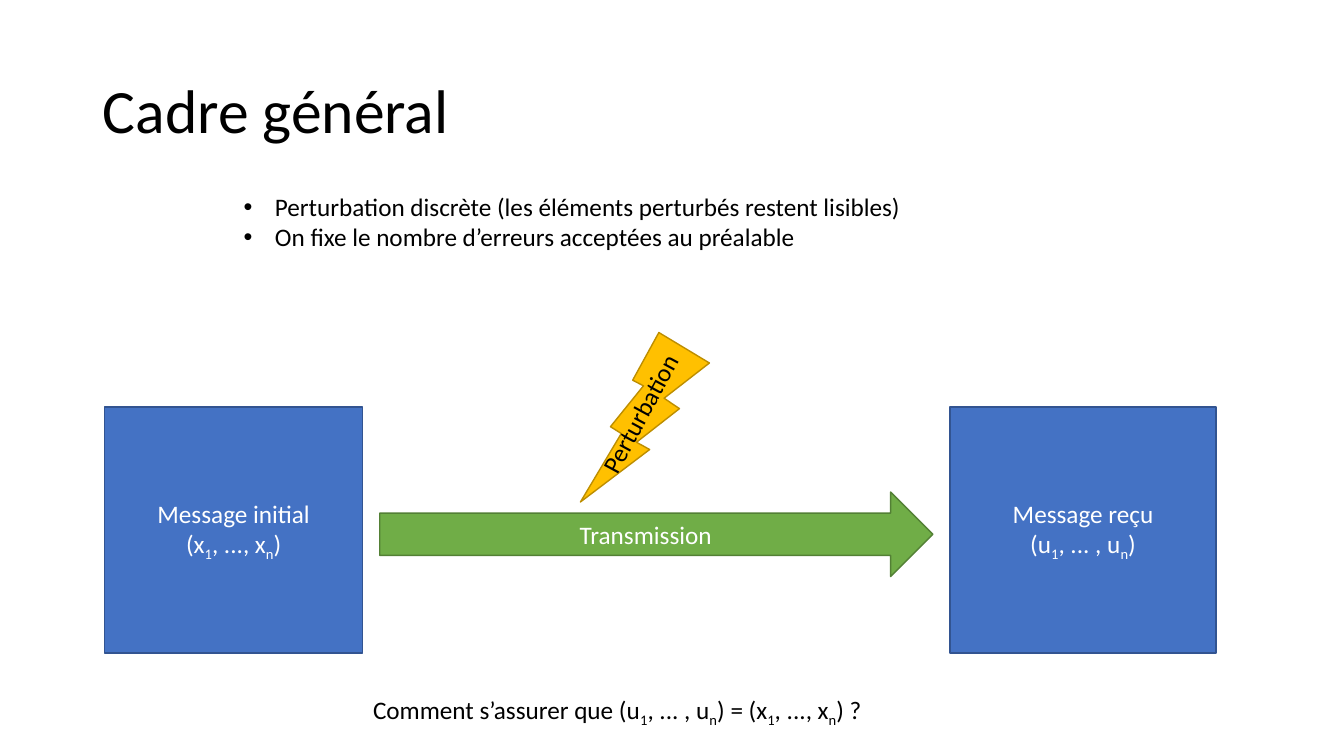
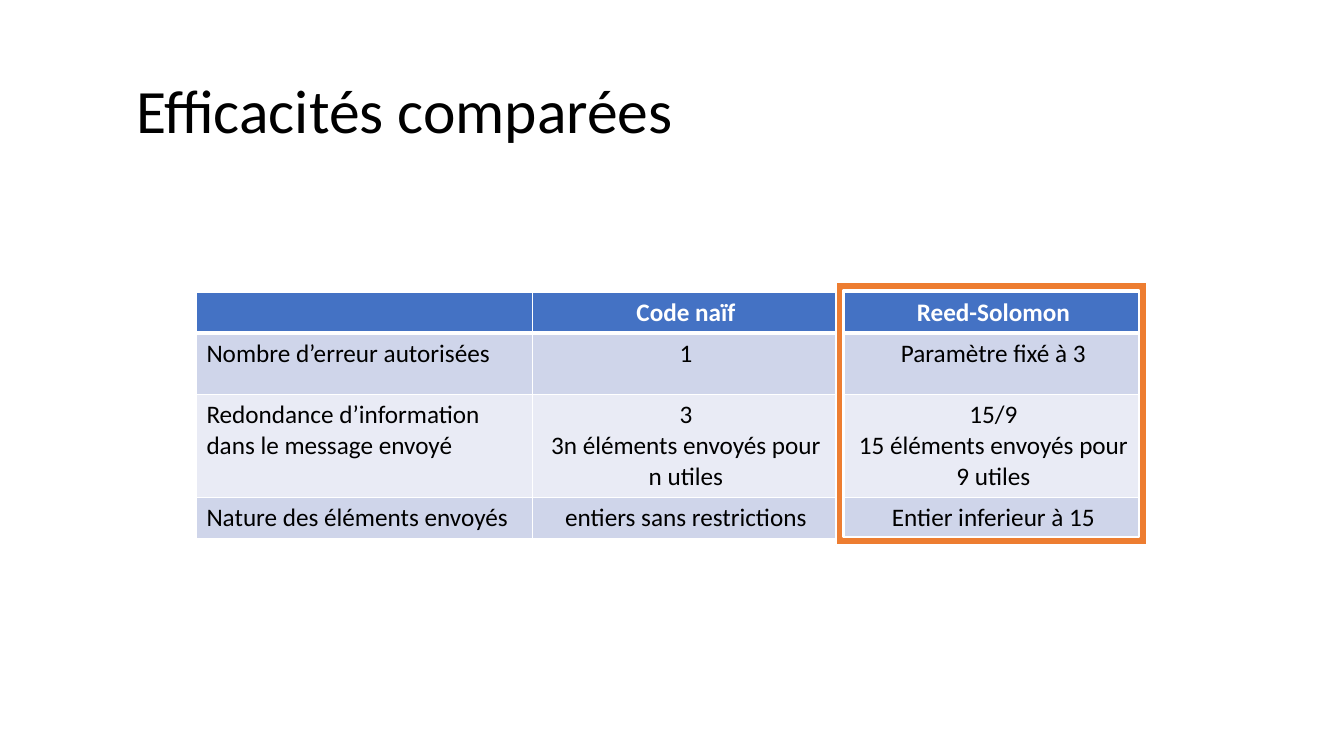
from lxml import etree
from pptx import Presentation
from pptx.dml.color import RGBColor
from pptx.enum import shapes, text
from pptx.oxml.ns import qn
from pptx.util import Cm, Pt

# Shared look
FONT = "Calibri"
BLACK, WHITE = "000000", "FFFFFF"
BLUE, GREEN, GOLD, ORANGE = "4472C4", "70AD47", "FFC000", "ED7D31"
BANDS = ["CFD5EA", "E9EBF5"]
LEFT, CENTER = text.PP_ALIGN.LEFT, text.PP_ALIGN.CENTER
TOP, MIDDLE = text.MSO_ANCHOR.TOP, text.MSO_ANCHOR.MIDDLE
SHAPE = shapes.MSO_SHAPE

# Content: "_" puts the next character in subscript
HYPOTHESES = ["Perturbation discrète (les éléments perturbés restent lisibles)",
              "On fixe le nombre d’erreurs acceptées au préalable"]
QUESTION = "Comment s’assurer que (u_1, ... , u_n) = (x_1, ..., x_n) ?"
# preset, width, top, height, fill, outline, lines
CHAIN = [
    (SHAPE.RECTANGLE, 6.5, 10.26, 6.2, BLUE, "325491",
     ["Message initial", "(x_1, ..., x_n)"]),
    (SHAPE.RIGHT_ARROW, 13.94, 12.4, 2.13, GREEN, "538035", ["Transmission"]),
    (SHAPE.RECTANGLE, 6.71, 10.26, 6.2, BLUE, "325491",
     ["Message reçu", "(u_1, ... , u_n)"]),
]
CHAIN_LEFT, CHAIN_GAP = 2.64, 0.43

COMPARISON = [
    ["", "Code naïf", "Reed-Solomon"],
    ["Nombre d’erreur autorisées", "1", "Paramètre fixé à 3"],
    ["Redondance d’information dans le message envoyé",
     "3\n3n éléments envoyés pour n utiles",
     "15/9\n15 éléments envoyés pour 9 utiles"],
    ["Nature des éléments envoyés", "entiers sans restrictions",
     "Entier inferieur à 15"],
]
COLUMN_WIDTHS = [8.46, 7.75, 7.75]
ROW_HEIGHTS = [1.02, 1.55, 2.6, 1.02]


def rgb(value):
    return RGBColor.from_string(value)


def write(frame, lines, color=BLACK, size=18, align=LEFT, anchor=TOP,
          bold=False, bullets=False, spacing=None):
    frame.word_wrap = True
    frame.vertical_anchor = anchor
    for i, line in enumerate(lines):
        par = frame.paragraphs[0] if i == 0 else frame.add_paragraph()
        par.alignment = align
        if spacing:
            par.line_spacing = spacing
        if bullets:
            props = par._p.get_or_add_pPr()
            props.set("marL", str(Cm(0.79)))
            props.set("indent", str(-Cm(0.79)))
            etree.SubElement(props, qn("a:buFont"), typeface="Arial")
            etree.SubElement(props, qn("a:buChar"), char="•")
        first, *rest = line.split("_")
        pieces = [(first, False)]
        for part in rest:
            pieces += [(part[0], True), (part[1:], False)]
        for piece, lowered in pieces:
            if not piece:
                continue
            run = par.add_run()
            run.text = piece
            for key, value in {"name": FONT, "size": Pt(size), "bold": bold}.items():
                setattr(run.font, key, value)
            run.font.color.rgb = rgb(color)
            if lowered:
                run.font._element.set("baseline", "-25000")


def add_text(slide, box, lines, **style):
    label = slide.shapes.add_textbox(*map(Cm, box))
    write(label.text_frame, lines, **style)
    return label


def add_figure(slide, preset, box, fill, outline, width=1):
    figure = slide.shapes.add_shape(preset, *map(Cm, box))
    figure.shadow.inherit = False
    figure.fill.solid()
    figure.fill.fore_color.rgb = rgb(fill)
    figure.line.color.rgb = rgb(outline)
    figure.line.width = Pt(width)
    return figure


def add_titled_slide(deck, title, left):
    slide = deck.slides.add_slide(deck.slide_layouts[6])
    add_text(slide, (left, 1.02, 29.21, 3.68), [title], size=44,
             anchor=MIDDLE, spacing=0.9)
    return slide


def set_borders(cell, bottom):
    props = cell._tc.get_or_add_tcPr()
    for side, width in {"L": 1, "R": 1, "T": 1, "B": bottom}.items():
        edge = etree.SubElement(props, qn("a:ln" + side), w=str(Pt(width)))
        paint = etree.SubElement(edge, qn("a:solidFill"))
        etree.SubElement(paint, qn("a:srgbClr"), val=WHITE)


def build_framework(deck):
    slide = add_titled_slide(deck, "Cadre général", 2.34)

    # Message, transmission, message
    left = CHAIN_LEFT
    for preset, width, top, height, fill, outline, lines in CHAIN:
        step = add_figure(slide, preset, (left, top, width, height), fill, outline)
        write(step.text_frame, lines, color=WHITE, align=CENTER, anchor=MIDDLE)
        left += width + CHAIN_GAP

    # Perturbation
    bolt = add_figure(slide, SHAPE.LIGHTNING_BOLT, (14.63, 8.38, 3.25, 4.27),
                      GOLD, "BD8E00")
    bolt._element.spPr.xfrm.set("flipH", "1")
    bolt_label = add_text(slide, (14.1, 9.68, 4.29, 1.02), ["Perturbation"])
    bolt_label.rotation = 298.5

    # Hypotheses and question
    add_text(slide, (5.89, 4.7, 20.35, 4.11), HYPOTHESES, bullets=True)
    add_text(slide, (5.38, 17.37, 20.35, 1.02), [QUESTION], align=CENTER)


def build_comparison(deck):
    slide = add_titled_slide(deck, "Efficacités comparées", 3.18)

    # Table
    table = slide.shapes.add_table(
        len(COMPARISON), len(COLUMN_WIDTHS), Cm(4.95), Cm(7.37),
        Cm(sum(COLUMN_WIDTHS)), Cm(sum(ROW_HEIGHTS))).table
    for column, width in zip(table.columns, COLUMN_WIDTHS):
        column.width = Cm(width)
    for r, (row, height) in enumerate(zip(COMPARISON, ROW_HEIGHTS)):
        table.rows[r].height = Cm(height)
        header = r == 0
        for c, entry in enumerate(row):
            cell = table.cell(r, c)
            set_borders(cell, bottom=3 if header else 1)
            cell.fill.solid()
            cell.fill.fore_color.rgb = rgb(BLUE if header else BANDS[(r - 1) % 2])
            write(cell.text_frame, entry.split("\n"), bold=header,
                  color=WHITE if header else BLACK,
                  align=CENTER if c else LEFT)

    # Highlight of the last column
    highlight = add_figure(slide, SHAPE.FRAME, (21.06, 7.11, 7.85, 6.63),
                           ORANGE, WHITE, width=1.5)
    highlight.adjustments[0] = 0.03


def main():
    deck = Presentation()
    deck.slide_width, deck.slide_height = Cm(33.87), Cm(19.05)
    build_framework(deck)
    build_comparison(deck)
    deck.save("out.pptx")


if __name__ == "__main__":
    main()
